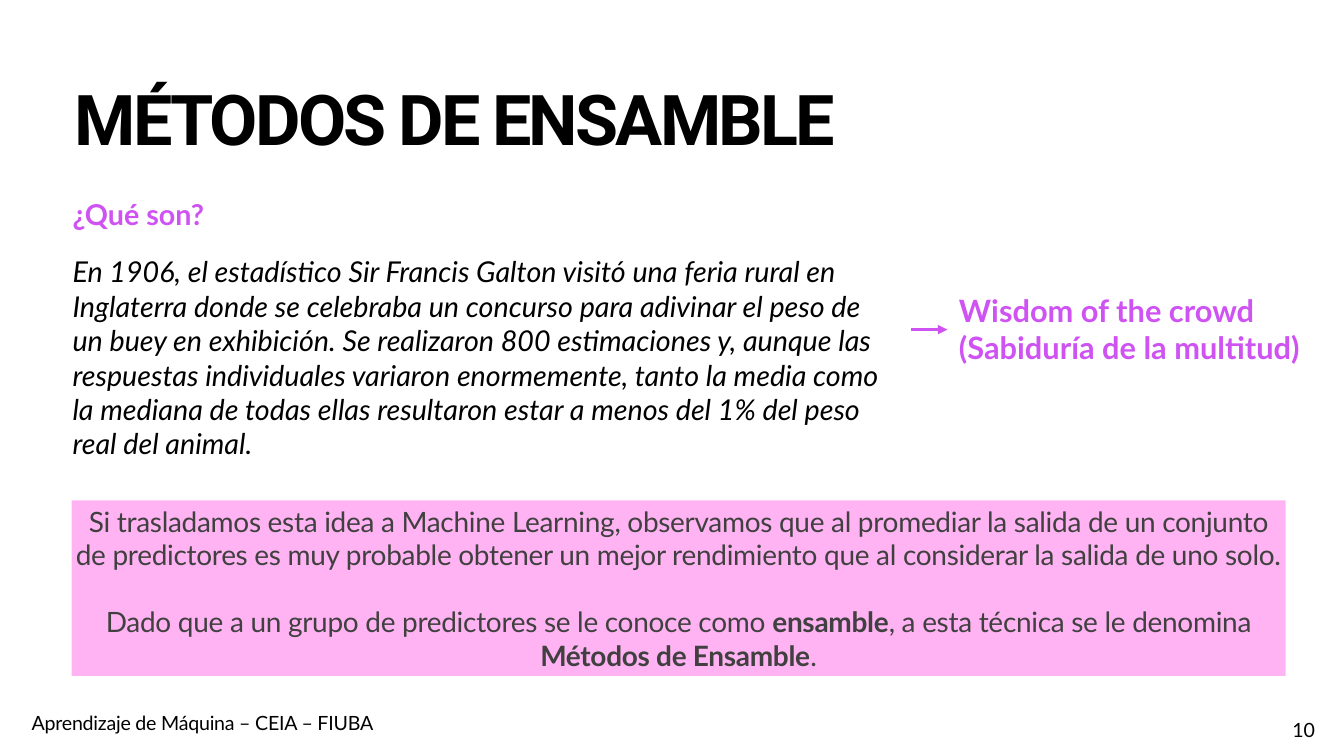
from lxml.etree import SubElement
from pptx import Presentation
from pptx.dml.color import RGBColor
from pptx.enum.shapes import MSO_CONNECTOR, MSO_SHAPE
from pptx.enum.text import MSO_ANCHOR, PP_ALIGN
from pptx.oxml.ns import qn
from pptx.util import Inches, Pt

BLACK = RGBColor(0x00, 0x00, 0x00)
GRAY = RGBColor(0x40, 0x40, 0x40)
VIOLET = RGBColor(0xCF, 0x53, 0xF2)
PINK = RGBColor(0xFF, 0xB3, 0xF2)

TIGHT = (0.06, 0.06)
LOOSE = (0.1, 0.05)

# Each paragraph is a list of (text, bold) runs.
TITLE = [[("MÉTODOS DE ENSAMBLE", True)]]
STORY = [
    [("¿Qué son?", True)],
    [("En 1906, el estadístico Sir Francis Galton visitó una feria rural en "
      "Inglaterra donde se celebraba un concurso para adivinar el peso de un "
      "buey en exhibición. Se realizaron 800 estimaciones y, aunque las "
      "respuestas individuales variaron enormemente, tanto la media como la "
      "mediana de todas ellas resultaron estar a menos del 1% del peso real "
      "del animal.", False)],
]
CROWD = [[("Wisdom of the crowd (Sabiduría de la multitud)", True)]]
IDEA = [
    [("Si trasladamos esta idea a Machine Learning, observamos que al "
      "promediar la salida de un conjunto de predictores es muy probable "
      "obtener un mejor rendimiento que al considerar la salida de uno solo.",
      False)],
    [("Dado que a un grupo de predictores se le conoce como ", False),
     ("ensamble", True),
     (", a esta técnica se le denomina ", False),
     ("Métodos de Ensamble", True),
     (".", False)],
]
FOOTER = [[("Aprendizaje de Máquina – CEIA – FIUBA", False)]]
PAGE = [[("10", False)]]


def write(shape, paras, size, color, face="Lato", inset=TIGHT, gap=0,
          line=1.0, track=0, align=PP_ALIGN.LEFT, anchor=MSO_ANCHOR.TOP):
    """Fill a shape with paragraphs; gap and track are in points."""
    frame = shape.text_frame
    frame.word_wrap = True
    frame.vertical_anchor = anchor
    frame.margin_left = frame.margin_right = Inches(inset[0])
    frame.margin_top = frame.margin_bottom = Inches(inset[1])
    for i, runs in enumerate(paras):
        para = frame.add_paragraph() if i else frame.paragraphs[0]
        para.alignment = align
        para.line_spacing = line
        if i:
            para.space_before = Pt(gap)
        para.font.name = face
        para.font.size = Pt(size)
        para.font.color.rgb = color
        for text, bold in runs:
            run = para.add_run()
            run.text = text
            run.font.bold = bold
            if track:
                run.font._element.set("spc", str(round(track * 100)))
    return frame


def main():
    deck = Presentation()
    deck.slide_width, deck.slide_height = Inches(26.67), Inches(15)
    slide = deck.slides.add_slide(deck.slide_layouts[6])
    shapes = slide.shapes

    def box(*place):
        return shapes.add_textbox(*map(Inches, place))

    write(box(1.42, 1.77, 23.92, 1.94), TITLE, 100, BLACK, face="Roboto",
          line=0.8, track=-4)

    story = write(box(1.38, 3.84, 16.44, 10.43), STORY, 41, BLACK, gap=33)
    head, body = story.paragraphs
    head.font.color.rgb = VIOLET
    body.font.italic = True

    small = dict(size=28, color=BLACK, inset=LOOSE, line=0.8, track=-0.3)
    write(box(25.25, 14.28, 1.24, 0.55), PAGE, align=PP_ALIGN.CENTER, **small)

    write(box(18.97, 5.72, 7.14, 2.44), CROWD, 44, VIOLET)

    arrow = shapes.add_connector(MSO_CONNECTOR.STRAIGHT, Inches(18.08),
                                 Inches(6.54), Inches(18.8), Inches(6.54))
    arrow.line.color.rgb = VIOLET
    arrow.line.width = Pt(4.5)
    SubElement(arrow.line._get_or_add_ln(), qn("a:tailEnd"), type="triangle")
    SubElement(arrow._element.spPr, qn("a:effectLst"))

    panel = shapes.add_shape(MSO_SHAPE.RECTANGLE, Inches(1.42), Inches(9.93),
                             Inches(24.09), Inches(3.48))
    panel.shadow.inherit = False
    panel.fill.solid()
    panel.fill.fore_color.rgb = PINK
    panel.line.fill.background()
    write(panel, IDEA, 40, GRAY, gap=48, track=-0.4,
          align=PP_ALIGN.CENTER, anchor=MSO_ANCHOR.MIDDLE)

    write(box(0.53, 14.15, 8.32, 0.51), FOOTER, **small)

    deck.save("out.pptx")


if __name__ == "__main__":
    main()
